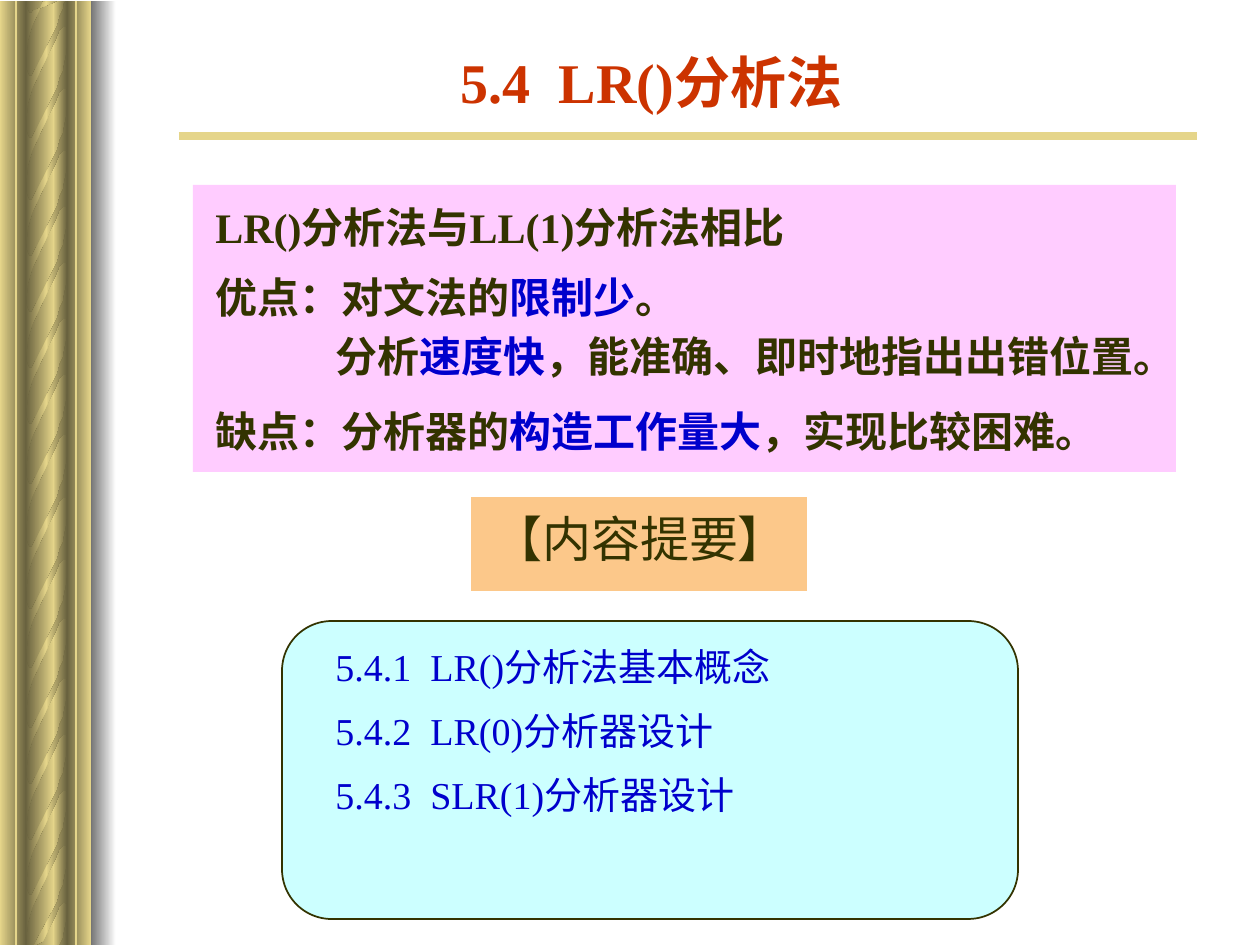
"""Build the LR() analysis overview slide with its twisted column border."""
from copy import deepcopy
from dataclasses import dataclass
from typing import Optional

from pptx import Presentation
from pptx import util as u
from pptx.dml.color import RGBColor
from pptx.enum import shapes, text
from pptx.oxml.ns import qn
from pptx.oxml.xmlchemy import OxmlElement

EMU_PER_PX = 914400 / 126


@dataclass(frozen=True)
class Theme:
    gold: str = "E5D58A"
    bronze: str = "69623F"
    white: str = "FFFFFF"
    grey: str = "757575"
    red: str = "CC3300"
    ink: str = "333300"
    blue: str = "0000CC"
    pink: str = "FFCCFF"
    orange: str = "FCC88A"
    cyan: str = "CCFFFF"
    serif: str = "Times New Roman"
    sans: str = "Arial"
    cjk: str = "Noto Sans CJK SC"
    title: float = 32
    heading: float = 28
    body: float = 24
    outline: float = 21.7


THEME = Theme()


@dataclass(frozen=True)
class Box:
    left: int
    top: int
    width: int
    height: int


@dataclass(frozen=True)
class Band:
    left: int
    width: int
    start: str
    end: str


@dataclass(frozen=True)
class Run:
    words: str
    color: str = THEME.ink


@dataclass(frozen=True)
class Caption:
    box: Box
    lines: tuple[tuple[Run, ...], ...]
    size: float = THEME.body
    font: str = THEME.serif
    bold: bool = True
    centered: bool = False
    spacing: Optional[float] = None
    first_gap: float = 15
    gap: float = 15
    grow: bool = False


@dataclass(frozen=True)
class Rule:
    start: tuple[int, int]
    end: tuple[int, int]
    weight: float


COLUMN_TOP, COLUMN_BOTTOM = 1, 947
HALF_TOPS, HALF_HEIGHT = (471, 1), 475
COLUMN_BANDS = (
    Band(53, 14, THEME.bronze, THEME.gold),
    Band(0, 26, THEME.bronze, THEME.gold),
    Band(26, 28, THEME.gold, THEME.bronze),
    Band(67, 24, THEME.gold, THEME.bronze),
)
COLUMN_SHADE = Band(91, 25, THEME.white, THEME.grey)
STRAND_TOPS = (-77, -14, 48, 110, 166, 222, 278, 334, 394,
               457, 519, 578, 638, 694, 750, 805, 862, 915)
STRAND_OUTLINE = (
    (67, 11), (67, 42), (66, 41), (63, 41), (62, 42), (59, 45), (54, 57),
    (43, 79), (32, 103), (30, 110), (28, 117), (27, 127), (26, 141),
    (26, 79), (27, 85), (28, 88), (29, 90), (30, 90), (32, 90), (33, 88),
    (57, 41), (60, 30), (63, 24), (64, 18), (66, 8), (67, 0), (67, 25),
)
RULES = (
    Rule((16, 1), (16, 946), 1),
    Rule((76, 1), (76, 946), 1),
    Rule((179, 136), (1197, 136), 4.5),
)
TITLE = Caption(Box(237, 45, 829, 81), ((Run("5.4  LR()分析法", THEME.red),),),
                size=THEME.title, centered=True, spacing=0.9, first_gap=8)
SUMMARY = Caption(Box(481, 509, 338, 74), ((Run("【内容提要】"),),),
                  size=THEME.heading, font=THEME.cjk, bold=False, spacing=0.9, first_gap=7)
OUTLINE = Caption(
    Box(323, 646, 665, 218),
    tuple((Run(topic, THEME.blue),) for topic in (
        "5.4.1  LR()分析法基本概念", "5.4.2  LR(0)分析器设计", "5.4.3  SLR(1)分析器设计")),
    size=THEME.outline, bold=False, spacing=0.8, first_gap=7, gap=15.7)
COMPARISON = (
    Caption(Box(203, 195, 814, 63), ((Run("LR()分析法与LL(1)分析法相比"),),), grow=True),
    Caption(Box(203, 265, 814, 63),
            ((Run("优点：对文法的"), Run("限制少", THEME.blue), Run("。")),), grow=True),
    Caption(Box(203, 399, 922, 63),
            ((Run("缺点：分析器的"), Run("构造工作量大", THEME.blue),
              Run("，实现比较困难。")),), grow=True),
    Caption(Box(323, 324, 893, 63),
            ((Run("分析"), Run("速度快", THEME.blue),
              Run("，能准确、即时地指出出错位置。")),), font=THEME.sans, grow=True),
)


def px(length: float) -> int:
    """Turn px into EMU."""
    return round(length * EMU_PER_PX)


def rgb(color: str) -> RGBColor:
    """Turn a hex string into a colour."""
    return RGBColor.from_string(color)


def shade(shape, start: str, end: str, middle: Optional[str] = None) -> None:
    """Fill a shape with a right-to-left gradient and no outline."""
    shape.shadow.inherit = False
    shape.line.fill.background()
    shape.fill.gradient()
    shape.fill.gradient_angle = 180
    first, last = shape.fill.gradient_stops
    first.color.rgb, last.color.rgb = rgb(start), rgb(end)
    first.position, last.position = 0, 1
    if middle:
        stops = shape._element.spPr.find(qn("a:gradFill")).find(qn("a:gsLst"))
        stops.insert(1, deepcopy(stops[0]))
        center = shape.fill.gradient_stops[1]
        center.position, center.color.rgb = 0.5, rgb(middle)


def add_box(slide, kind, box: Box):
    """Add a preset shape at a px box."""
    return slide.shapes.add_shape(
        kind, px(box.left), px(box.top), px(box.width), px(box.height))


def add_panel(slide, box: Box, color: str, border: Optional[str] = None) -> None:
    """Add a flat panel, rounded when it has a border."""
    kinds = shapes.MSO_SHAPE
    panel = add_box(slide, kinds.ROUNDED_RECTANGLE if border else kinds.RECTANGLE, box)
    panel.shadow.inherit = False
    panel.fill.solid()
    panel.fill.fore_color.rgb = rgb(color)
    if border:
        panel.line.color.rgb = rgb(border)
        panel.line.width = u.Pt(1)
    else:
        panel.line.fill.background()


def add_band(slide, band: Band, top: int, height: int) -> None:
    """Add one vertical gradient band of the column."""
    strip = add_box(slide, shapes.MSO_SHAPE.RECTANGLE, Box(band.left, top, band.width, height))
    shade(strip, band.start, band.end)


def add_strand(slide, top: int) -> None:
    """Add one twisted strand, kept inside the column."""
    points = [(x, min(max(top + y, COLUMN_TOP), COLUMN_BOTTOM)) for x, y in STRAND_OUTLINE]
    builder = slide.shapes.build_freeform(*points[0], scale=EMU_PER_PX)
    builder.add_line_segments(points[1:], close=True)
    shade(builder.convert_to_shape(), THEME.bronze, THEME.bronze, THEME.gold)


def add_rule(slide, rule: Rule) -> None:
    """Add a straight gold line."""
    line = slide.shapes.add_connector(
        shapes.MSO_CONNECTOR.STRAIGHT, *map(px, rule.start + rule.end))
    line.line.color.rgb = rgb(THEME.gold)
    line.line.width = u.Pt(rule.weight)
    line._element.spPr.append(OxmlElement("a:effectLst"))


def add_caption(slide, caption: Caption) -> None:
    """Add a text box with its coloured runs."""
    box = caption.box
    frame = slide.shapes.add_textbox(
        px(box.left), px(box.top), px(box.width), px(box.height)).text_frame
    frame.word_wrap = True
    if caption.grow:
        frame.auto_size = text.MSO_AUTO_SIZE.SHAPE_TO_FIT_TEXT
    if caption.centered:
        frame.vertical_anchor = text.MSO_ANCHOR.MIDDLE
    for index, runs in enumerate(caption.lines):
        paragraph = frame.add_paragraph() if index else frame.paragraphs[0]
        paragraph.alignment = text.PP_ALIGN.CENTER if caption.centered else text.PP_ALIGN.LEFT
        paragraph.line_spacing = caption.spacing
        paragraph.space_before = u.Pt(caption.gap if index else caption.first_gap)
        paragraph.font.name = caption.font
        paragraph.font.size = u.Pt(caption.size)
        paragraph.font.bold = caption.bold
        for part in runs:
            run = paragraph.add_run()
            run.text = part.words
            run.font.color.rgb = rgb(part.color)


def main() -> None:
    """Build and save the slide."""
    deck = Presentation()
    deck.slide_width, deck.slide_height = px(1260), px(945)
    slide = deck.slides.add_slide(deck.slide_layouts[6])
    for top in HALF_TOPS:
        for band in COLUMN_BANDS:
            add_band(slide, band, top, HALF_HEIGHT)
    for top in STRAND_TOPS:
        add_strand(slide, top)
    add_band(slide, COLUMN_SHADE, COLUMN_TOP, 945)
    for rule in RULES:
        add_rule(slide, rule)
    add_caption(slide, TITLE)
    add_panel(slide, Box(282, 621, 736, 298), THEME.cyan, THEME.ink)
    add_panel(slide, Box(471, 497, 336, 94), THEME.orange)
    add_caption(slide, SUMMARY)
    add_caption(slide, OUTLINE)
    add_panel(slide, Box(193, 185, 983, 287), THEME.pink)
    for caption in COMPARISON:
        add_caption(slide, caption)
    deck.save("out.pptx")


if __name__ == "__main__":
    main()
